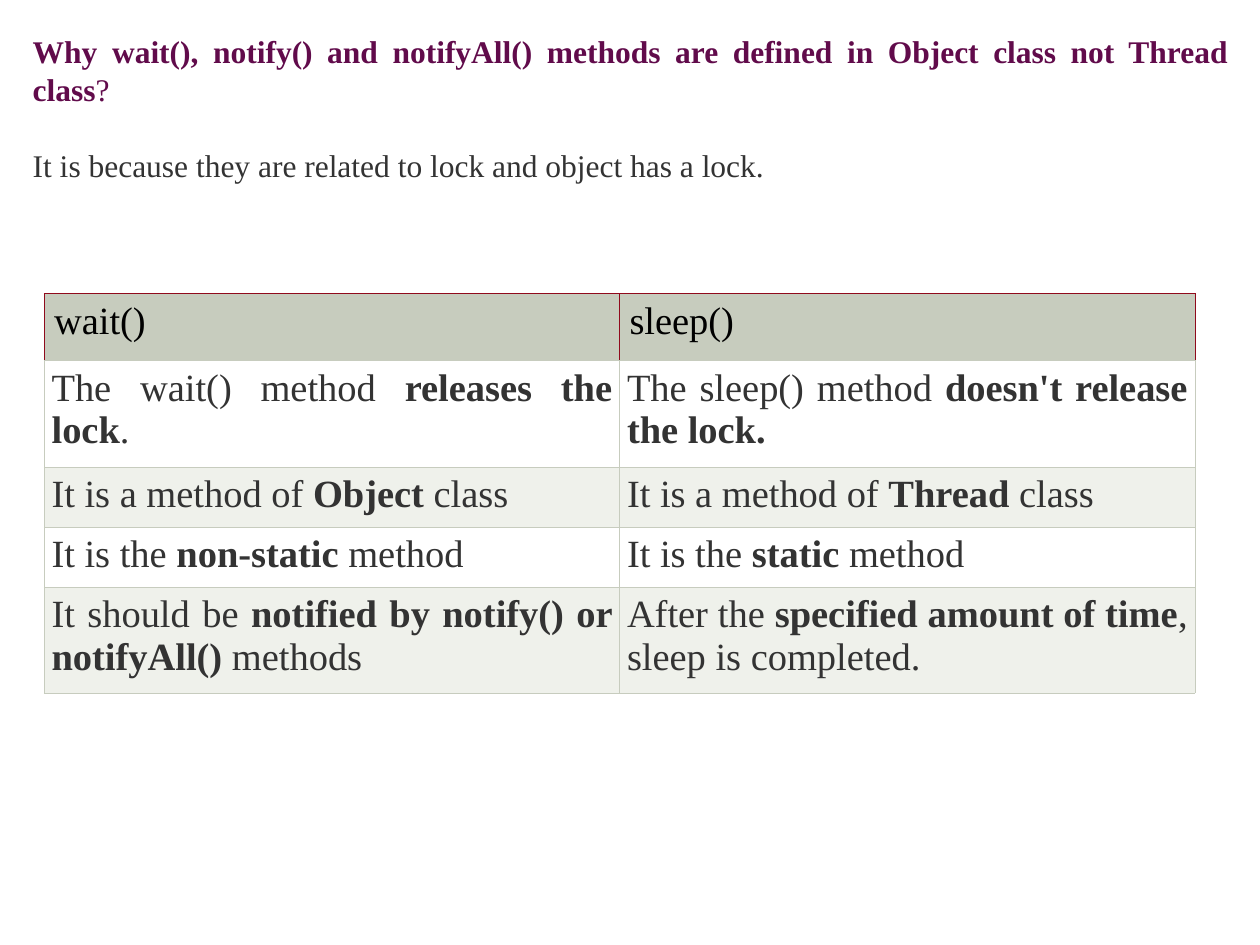
from lxml import etree
from pptx import Presentation
from pptx.dml.color import RGBColor
from pptx.enum.text import MSO_ANCHOR, PP_ALIGN
from pptx.oxml.ns import qn
from pptx.util import Cm, Pt

JUSTIFY = PP_ALIGN.JUSTIFY
LEFT = PP_ALIGN.LEFT
TOP = MSO_ANCHOR.TOP

FONT = "Times New Roman"
COLORS = {
    "question": "610B4B",
    "body": "333333",
    "header_text": "000000",
    "header_fill": "C7CCBE",
    "header_line": "900A1C",
    "grid": "C7CCBE",
    "odd_row": "FFFFFF",
    "even_row": "EFF1EB",
}
BORDER_WIDTH = Pt(0.23)
LINE_PITCH = Pt(21.6)

# Each text is a list of (words, bold) spans.
QUESTION = [
    ("Why wait(), notify() and notifyAll() methods are defined in "
     "Object class not Thread class", True),
    ("?", False),
]
ANSWER = [("It is because they are related to lock and object has a lock.", False)]
HEADER = [[("wait()", False)], [("sleep()", False)]]
COMPARISON = [
    [[("The wait() method ", False), ("releases the lock", True), (".", False)],
     [("The sleep() method ", False), ("doesn't release the lock.", True)]],
    [[("It is a method of ", False), ("Object ", True), ("class", False)],
     [("It is a method of ", False), ("Thread", True), (" class", False)]],
    [[("It is the ", False), ("non-static ", True), ("method", False)],
     [("It is the ", False), ("static ", True), ("method", False)]],
    [[("It should be ", False), ("notified by notify() or notifyAll() ", True),
      ("methods", False)],
     [("After the ", False), ("specified amount of time", True),
      (", sleep is completed.", False)]],
]
ROW_HEIGHTS = [Cm(1.35), Cm(2.14), Cm(1.21), Cm(1.21), Cm(2.14)]


def set_values(target, values):
    for name, value in values.items():
        setattr(target, name, value)


def write_spans(para, spans, size, color, align):
    para.alignment = align
    for words, bold in spans:
        span = para.add_run()
        span.text = words
        set_values(span.font, {"name": FONT, "size": Pt(size), "bold": bold})
        span.font.color.rgb = RGBColor.from_string(COLORS[color])


def add_question_box(page):
    box = page.shapes.add_textbox(Cm(0.41), Cm(0.53), Cm(24.61), Cm(3.3))
    frame = box.text_frame
    frame.word_wrap = True
    question, answer = frame.paragraphs[0], frame.add_paragraph()
    write_spans(question, QUESTION, 18, "question", JUSTIFY)
    write_spans(answer, ANSWER, 18, "body", JUSTIFY)
    question.line_spacing = answer.line_spacing = LINE_PITCH
    answer.space_before = LINE_PITCH


def set_borders(cell, sides):
    """Draw cell borders; sides maps L, R, T and B to colour names."""
    properties = cell._tc.get_or_add_tcPr()
    for position, (side, color) in enumerate(sides.items()):
        line = etree.Element(qn(f"a:ln{side}"), w=str(BORDER_WIDTH))
        fill = etree.SubElement(line, qn("a:solidFill"))
        etree.SubElement(fill, qn("a:srgbClr"), val=COLORS[color])
        properties.insert(position, line)


def format_cell(cell, spans, header, fill):
    margin = Cm(0.2) if header else Cm(0.15)
    set_values(cell, {
        "margin_left": margin, "margin_right": margin,
        "margin_top": Cm(0.13), "margin_bottom": Cm(0.13),
        "vertical_anchor": TOP,
    })
    cell.fill.solid()
    cell.fill.fore_color.rgb = RGBColor.from_string(COLORS[fill])
    edge = "header_line" if header else "grid"
    set_borders(cell, {"L": edge, "R": edge, "T": edge, "B": "grid"})
    write_spans(cell.text_frame.paragraphs[0], spans, 22,
                "header_text" if header else "body", LEFT if header else JUSTIFY)


def add_comparison_table(page):
    rows = [HEADER, *COMPARISON]
    table = page.shapes.add_table(
        len(rows), len(HEADER), Cm(0.89), Cm(5.92), Cm(23.2), sum(ROW_HEIGHTS)
    ).table
    for row_index, texts in enumerate(rows):
        table.rows[row_index].height = ROW_HEIGHTS[row_index]
        header = row_index == 0
        fill = "header_fill" if header else ("even_row", "odd_row")[row_index % 2]
        for column_index, spans in enumerate(texts):
            format_cell(table.cell(row_index, column_index), spans, header, fill)


def main():
    deck = Presentation()
    deck.slide_width, deck.slide_height = Cm(25.4), Cm(19.05)
    page = deck.slides.add_slide(deck.slide_layouts[6])
    add_question_box(page)
    add_comparison_table(page)
    deck.save("out.pptx")


if __name__ == "__main__":
    main()
